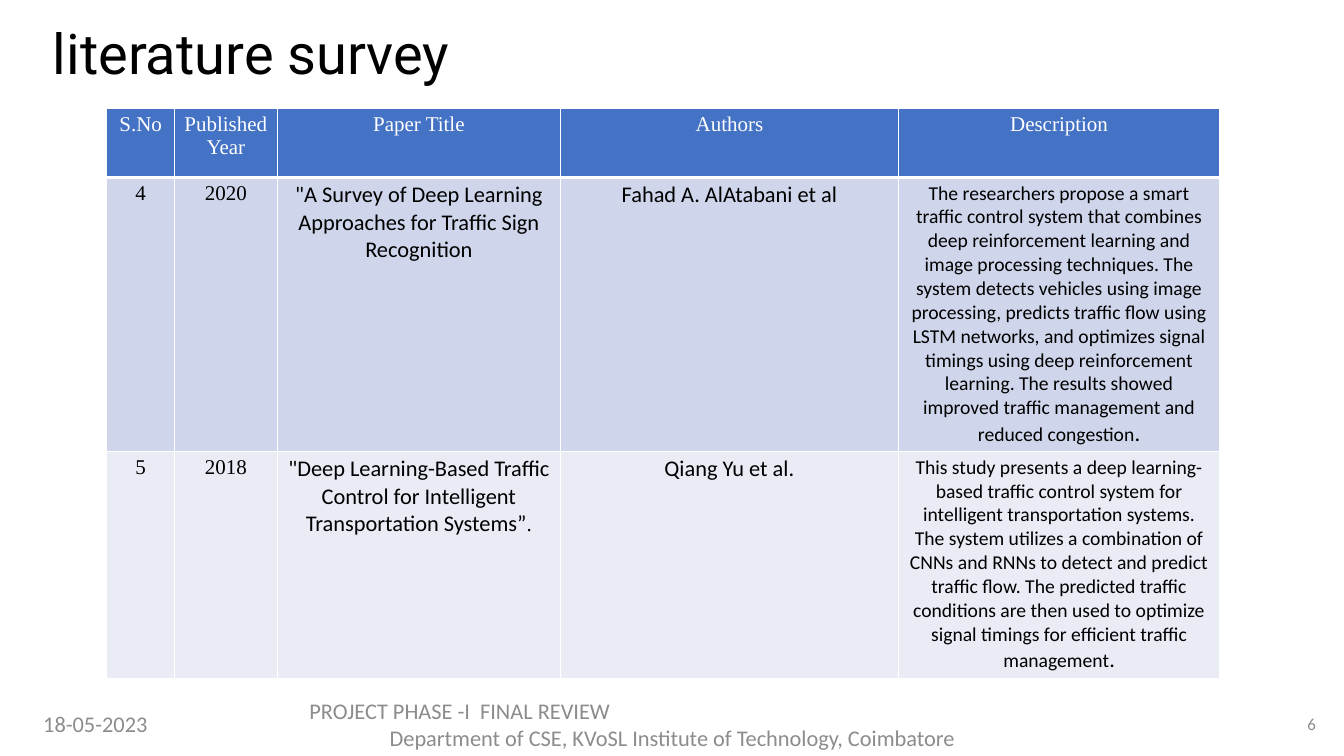
"""Build the literature survey slide with its table of papers."""
import pptx
import pptx.dml.color
import pptx.enum.text
import pptx.oxml
import pptx.oxml.ns
import pptx.util

WIDTH, HEIGHT = pptx.util.Inches(13.33), pptx.util.Inches(7.5)
COLOURS = {
    "white": "FFFFFF", "black": "000000", "grey": "8C8C8C",
    "header": "4472C4", "odd_row": "CFD5EA", "even_row": "E9EBF5",
}
ALIGN = pptx.enum.text.PP_ALIGN
MIDDLE = pptx.enum.text.MSO_ANCHOR.MIDDLE
SERIF = ("Times New Roman", 15)
SANS = ("Calibri", 16)
SMALL = ("Calibri", 14)
HEADINGS = ["S.No", "Published\nYear", "Paper Title", "Authors", "Description"]
PAPERS = [
    [
        ("4", SERIF), ("2020", SERIF),
        ('"A Survey of Deep Learning Approaches for Traffic Sign Recognition', SANS),
        ("Fahad A. AlAtabani et al", SANS),
        ("The researchers propose a smart traffic control system that combines deep "
         "reinforcement learning and image processing techniques. The system detects "
         "vehicles using image processing, predicts traffic flow using LSTM networks, "
         "and optimizes signal timings using deep reinforcement learning. The results "
         "showed improved traffic management and reduced congestion", SMALL, SANS),
    ],
    [
        ("5", SERIF), ("2018", SERIF),
        ('"Deep Learning-Based Traffic Control for Intelligent Transportation Systems”',
         SANS, SERIF),
        ("Qiang Yu et al.", SANS),
        ("This study presents a deep learning-based traffic control system for "
         "intelligent transportation systems. The system utilizes a combination of CNNs "
         "and RNNs to detect and predict traffic flow. The predicted traffic conditions "
         "are then used to optimize signal timings for efficient traffic management",
         SMALL, SANS),
    ],
]
COLUMN_SHARES = [5.03, 7.65, 21.08, 25.13, 23.93]
ROW_SHARES = [9.07, 36.27, 30]


def across(percent):
    """Return a share of the slide's width."""
    return round(WIDTH * percent / 100)


def down(percent):
    """Return a share of the slide's height."""
    return round(HEIGHT * percent / 100)


def rgb(name):
    """Return a named colour."""
    return pptx.dml.color.RGBColor.from_string(COLOURS[name])


def format_run(run, style, colour):
    """Set the font, size and colour of a run."""
    run.font.name, size = style
    run.font.size = pptx.util.Pt(size)
    run.font.bold = False
    run.font.color.rgb = rgb(colour)


def write_text(text_frame, text, style, colour, alignment):
    """Write paragraphs that share one style."""
    text_frame.text = text
    text_frame.word_wrap = True
    for paragraph in text_frame.paragraphs:
        paragraph.alignment = alignment
        for run in paragraph.runs:
            format_run(run, style, colour)


def add_title(slide, text):
    """Place and format the title placeholder."""
    title = slide.shapes.title
    title.left, title.top = across(1.13), down(1.33)
    title.width, title.height = across(86.27), down(12.27)
    write_text(title.text_frame, text, ("Roboto", 40), "black", ALIGN.LEFT)
    title.text_frame.margin_left = across(2.81)
    title.text_frame.vertical_anchor = MIDDLE
    title.text_frame.paragraphs[0].line_spacing = 0.9


def add_footer(slide, left, width, text, size, alignment):
    """Add a grey text box on the footer line."""
    box = slide.shapes.add_textbox(across(left), down(93.07), across(width), down(5.33))
    write_text(box.text_frame, text, ("Calibri", size), "grey", alignment)
    box.text_frame.vertical_anchor = MIDDLE
    return box


def add_borders(cell, widths):
    """Draw white borders of the given widths in points."""
    properties = cell._tc.get_or_add_tcPr()
    for side, width in zip("LRTB", widths):
        properties.append(pptx.oxml.parse_xml(
            f'<a:ln{side} {pptx.oxml.ns.nsdecls("a")} w="{pptx.util.Pt(width)}">'
            f'<a:solidFill><a:srgbClr val="{COLOURS["white"]}"/></a:solidFill>'
            f'</a:ln{side}>'))


def fill_cell(cell, fill, widths, colour, text, style, stop_style=None):
    """Fill a cell, adding a separately styled full stop when asked."""
    add_borders(cell, widths)
    cell.fill.solid()
    cell.fill.fore_color.rgb = rgb(fill)
    cell.margin_left = cell.margin_right = pptx.util.Inches(0.08)
    cell.margin_top = cell.margin_bottom = pptx.util.Inches(0.04)
    write_text(cell.text_frame, text, style, colour, ALIGN.CENTER)
    if stop_style:
        stop = cell.text_frame.paragraphs[-1].add_run()
        stop.text = "."
        format_run(stop, stop_style, colour)


def add_paper_table(slide):
    """Add the table of surveyed papers."""
    rows = [[(heading, SERIF) for heading in HEADINGS], *PAPERS]
    table = slide.shapes.add_table(
        len(rows), len(HEADINGS), across(7.95), down(14.4),
        across(sum(COLUMN_SHARES)), down(sum(ROW_SHARES))).table
    for column, share in zip(table.columns, COLUMN_SHARES):
        column.width = across(share)
    for row, share in zip(table.rows, ROW_SHARES):
        row.height = down(share)
    looks = [
        ("header", (1, 1, 1, 3), "white"),
        ("odd_row", (1, 1, 3, 1), "black"),
        ("even_row", (1, 1, 1, 1), "black"),
    ]
    for row, look, contents in zip(table.rows, looks, rows):
        for cell, content in zip(row.cells, contents):
            fill_cell(cell, *look, *content)


def main():
    """Build and save the slide."""
    presentation = pptx.Presentation()
    presentation.slide_width, presentation.slide_height = WIDTH, HEIGHT
    slide = presentation.slides.add_slide(presentation.slide_layouts[5])
    add_title(slide, "literature survey")
    add_footer(slide, 2.48, 10.88, "18-05-2023", 16, ALIGN.LEFT)
    review = add_footer(
        slide, 22.28, 55.5,
        "PROJECT PHASE -I  FINAL REVIEW\n"
        "Department of CSE, KVoSL Institute of Technology, Coimbatore",
        16, ALIGN.CENTER)
    review.text_frame.paragraphs[0].alignment = ALIGN.LEFT
    add_footer(slide, 94.07, 4.58, "6", 12, ALIGN.RIGHT)
    add_paper_table(slide)
    presentation.save("out.pptx")


if __name__ == "__main__":
    main()
